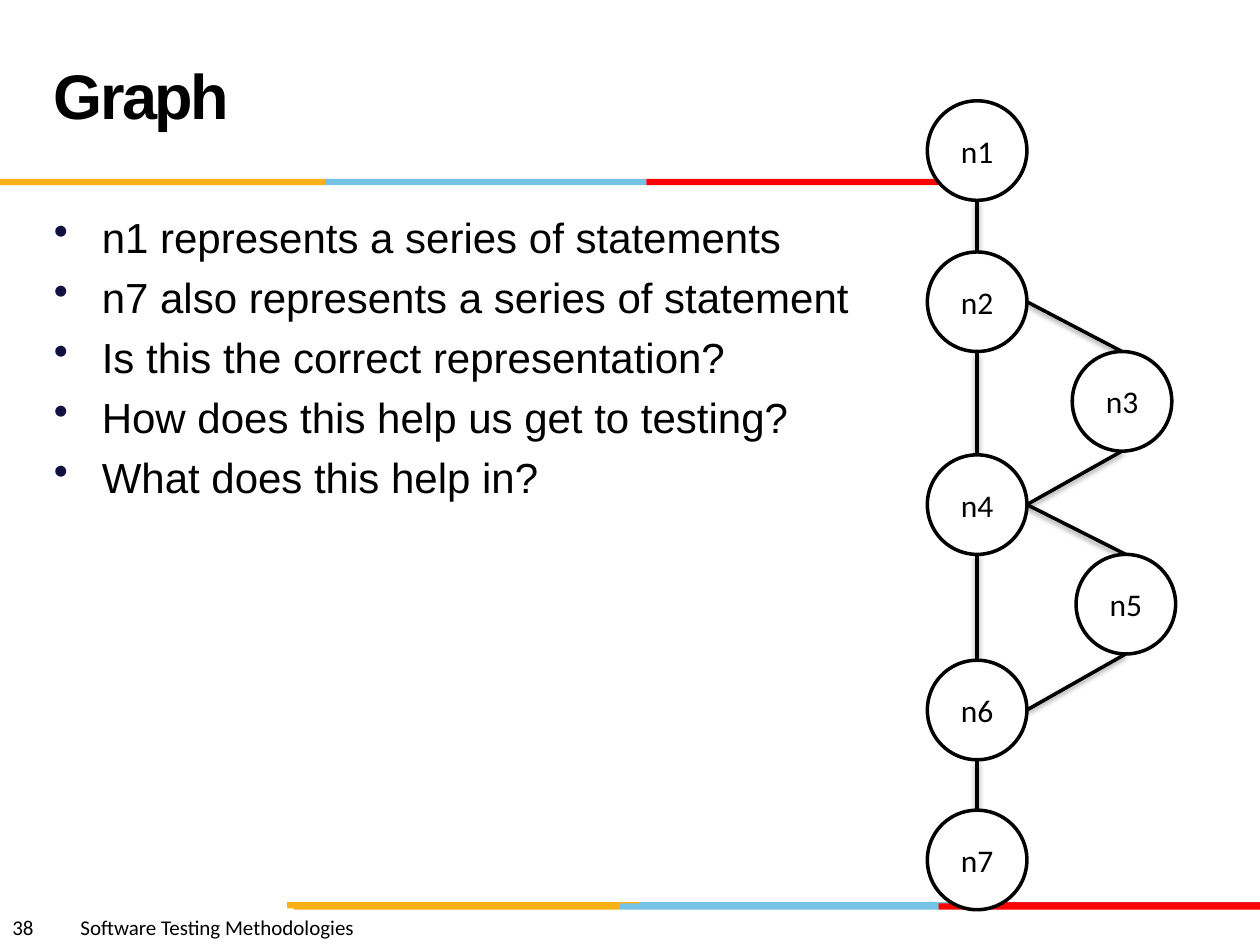
from lxml import etree
from pptx import Presentation
from pptx.dml.color import RGBColor
from pptx.enum.shapes import MSO_CONNECTOR as Connector, MSO_SHAPE as Shape
from pptx.enum.text import MSO_ANCHOR as Anchor, PP_ALIGN as Align
from pptx.oxml.ns import qn
from pptx.util import Inches, Pt

COLORS = {"black": "000000", "white": "FFFFFF", "gold": "FCB017", "blue": "76C2E5",
          "crimson": "E31C24", "red": "FF0000", "bullet": "101141"}
BULLETS = ["n1 represents a series of statements",
           "n7 also represents a series of statement",
           "Is this the correct representation?",
           "How does this help us get to testing?",
           "What does this help in?"]
STRIPES = [(1.42, 0, [("gold", 2.58), ("blue", 2.55), ("red", 2.55)]),
           (7.16, 2.28, [("gold", 2.8), ("blue", 2.47), ("crimson", 2.45)]),
           (7.17, 2.33, [("gold", 2.59), ("blue", 2.53), ("red", 2.55)])]
NODE_SIZE = 0.79
NODES = {"n1": (0, 0), "n2": (0, 1.2), "n3": (1.15, 1.99), "n4": (0, 2.81),
         "n5": (1.18, 3.6), "n6": (0, 4.44), "n7": (0, 5.63)}
EDGES = [("n1", "bottom", "n2", "top"), ("n2", "bottom", "n4", "top"),
         ("n4", "bottom", "n6", "top"), ("n6", "bottom", "n7", "top"),
         ("n2", "right", "n3", "top"), ("n4", "right", "n3", "bottom"),
         ("n4", "right", "n5", "top"), ("n6", "right", "n5", "bottom")]
SIDES = {"top": (0.5, 0), "right": (1, 0.5), "bottom": (0.5, 1)}


def color(name):
    """Return the named palette colour."""
    return RGBColor.from_string(COLORS[name])


def style_font(paragraph, name, size, bold=False):
    """Set a paragraph's black font."""
    font = paragraph.font
    font.name, font.size, font.bold = name, Pt(size), bold
    font.color.rgb = color("black")


def add_text_frame(slide, left, top, width, height):
    """Add a wrapping text box and return its frame."""
    box = slide.shapes.add_textbox(Inches(left), Inches(top), Inches(width), Inches(height))
    box.text_frame.word_wrap = True
    return box.text_frame


def add_stripe(slide, left, top, segments, height=0.05):
    """Lay coloured bars end to end."""
    for name, width in segments:
        bar = slide.shapes.add_shape(Shape.RECTANGLE, Inches(left), Inches(top),
                                     Inches(width), Inches(height))
        bar.shadow.inherit = False
        bar.fill.solid()
        bar.fill.fore_color.rgb = color(name)
        bar.line.fill.background()
        left += width


def add_footer(slide, left, top, width, height):
    """Write the page number and course name, split by a tab stop."""
    paragraph = add_text_frame(slide, left, top, width, height).paragraphs[0]
    paragraph.text = "38\tSoftware Testing Methodologies"
    style_font(paragraph, "Calibri", 12)
    tabs = etree.SubElement(paragraph._p.get_or_add_pPr(), qn("a:tabLst"))
    etree.SubElement(tabs, qn("a:tab"), pos=str(Inches(0.54)), algn="l")


def add_title(slide, left, top, width, height):
    """Write the tightly spaced slide title."""
    frame = add_text_frame(slide, left, top, width, height)
    frame.vertical_anchor = Anchor.MIDDLE
    paragraph = frame.paragraphs[0]
    paragraph.text = "Graph"
    paragraph.line_spacing = Pt(36)
    style_font(paragraph, "Arial", 36, bold=True)
    paragraph.runs[0].font._element.set("spc", "-150")


def add_bullets(slide, left, top, width, height):
    """Write the bulleted list."""
    frame = add_text_frame(slide, left, top, width, height)
    for index, text in enumerate(BULLETS):
        paragraph = frame.add_paragraph() if index else frame.paragraphs[0]
        paragraph.text = text
        paragraph.space_before = Pt(5.5)
        style_font(paragraph, "Arial", 24)
        properties = paragraph._p.get_or_add_pPr()
        properties.set("marL", str(Inches(0.38)))
        properties.set("indent", str(-Inches(0.38)))
        bullet_color = etree.Element(qn("a:buClr"))
        etree.SubElement(bullet_color, qn("a:srgbClr"), val=COLORS["bullet"])
        bullet = etree.Element(qn("a:buChar"), char="•")
        defaults = properties.find(qn("a:defRPr"))
        defaults.addprevious(bullet_color)
        defaults.addprevious(bullet)


def add_node(slide, left, top, label):
    """Draw one labelled graph node."""
    node = slide.shapes.add_shape(Shape.OVAL, Inches(left), Inches(top),
                                  Inches(NODE_SIZE), Inches(NODE_SIZE))
    node.shadow.inherit = False
    node.fill.solid()
    node.fill.fore_color.rgb = color("white")
    node.line.color.rgb = color("black")
    node.line.width = Pt(2)
    node.text_frame.vertical_anchor = Anchor.MIDDLE
    paragraph = node.text_frame.paragraphs[0]
    paragraph.text = label
    paragraph.alignment = Align.CENTER
    style_font(paragraph, "Calibri", 18)


def add_edge(slide, start, end):
    """Draw a line with a soft shadow between two points."""
    edge = slide.shapes.add_connector(Connector.STRAIGHT,
                                      *(Inches(value) for value in start + end))
    edge.line.color.rgb = color("black")
    edge.line.width = Pt(2)
    effects = etree.SubElement(edge._element.spPr, qn("a:effectLst"))
    shadow = etree.SubElement(effects, qn("a:outerShdw"), blurRad=str(Pt(3.1)),
                              dist=str(Pt(1.6)), dir="5400000", rotWithShape="0")
    shade = etree.SubElement(shadow, qn("a:srgbClr"), val=COLORS["black"])
    etree.SubElement(shade, qn("a:alpha"), val="38000")


def add_graph(slide, left, top):
    """Draw the control flow graph from its top left corner."""
    def anchor(label, side):
        """Return the point at the middle of a node's side."""
        return tuple(origin + offset + NODE_SIZE * share for origin, offset, share
                     in zip((left, top), NODES[label], SIDES[side]))

    for source, source_side, target, target_side in EDGES:
        add_edge(slide, anchor(source, source_side), anchor(target, target_side))
    for label, (x, y) in NODES.items():
        add_node(slide, left + x, top + y, label)


def main():
    """Build and save the slide."""
    presentation = Presentation()
    presentation.slide_width, presentation.slide_height = Inches(10), Inches(7.5)
    slide = presentation.slides.add_slide(presentation.slide_layouts[6])
    for top, left, segments in STRIPES:
        add_stripe(slide, left, top, segments)
    add_footer(slide, 0, 7.21, 5, 0.3)
    add_bullets(slide, 0.33, 1.63, 9, 4.95)
    add_title(slide, 0.33, 0.17, 6.92, 1.25)
    add_graph(slide, 7.36, 0.8)
    presentation.save("out.pptx")


if __name__ == "__main__":
    main()
